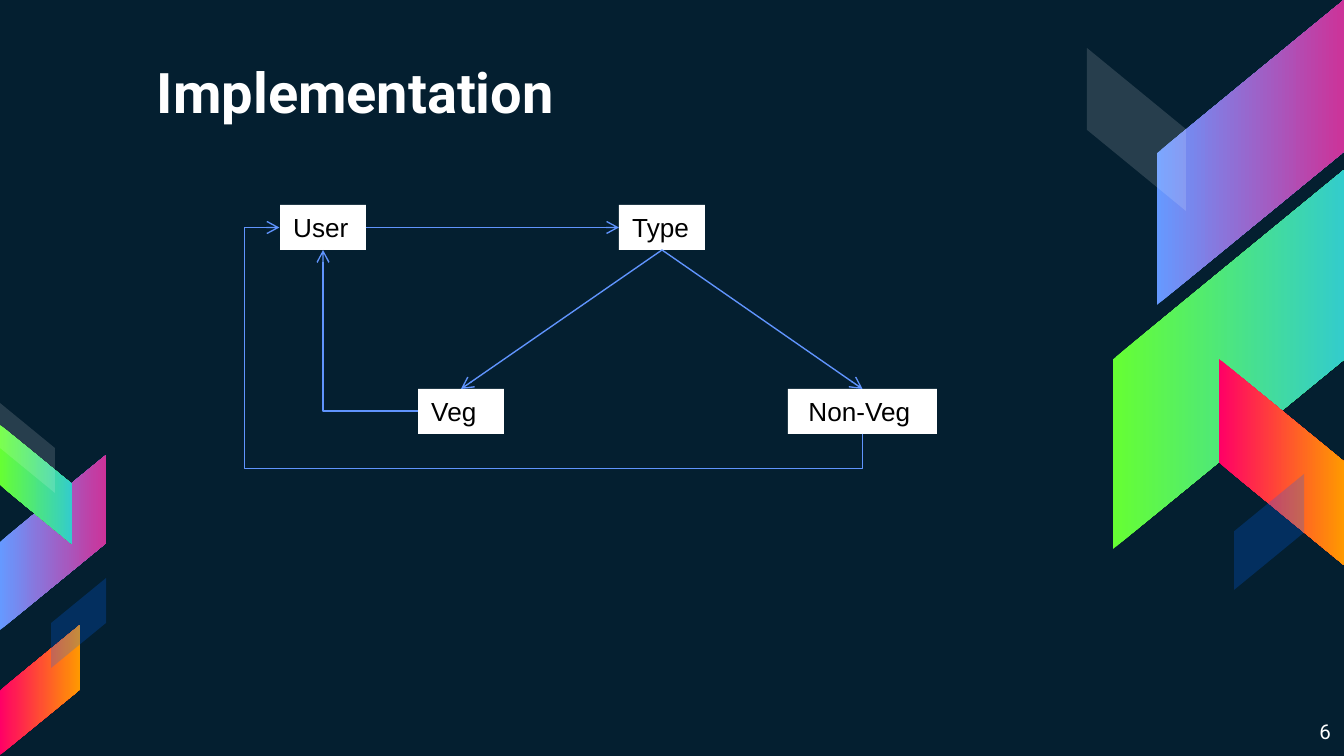
"""Build the Implementation slide: a food choice flow between ribbon ornaments."""
from dataclasses import dataclass

from lxml.etree import SubElement
from pptx import Presentation
from pptx.dml.color import RGBColor
from pptx.enum.shapes import MSO_CONNECTOR, MSO_SHAPE
from pptx.enum.text import MSO_ANCHOR, MSO_AUTO_SIZE, PP_ALIGN
from pptx.oxml.ns import qn
from pptx.shapes.autoshape import Shape
from pptx.shapes.connector import Connector
from pptx.slide import Slide
from pptx.util import Emu, Pt

EMU_PER_PX = 914400 / 134.4
WHITE, BLACK, NAVY, ARROW = "FFFFFF", "000000", "041F30", "6094FD"
VIOLET, LIME, SUNSET = ("6699FF", "CC3399"), ("66FF33", "33CCCC"), ("FF0066", "FF9900")
GLASS, DEEP = (WHITE,), ("0066FF",)
ALPHA = {GLASS: 14, DEEP: 23}
TOP, LEFT, BOTTOM, RIGHT = range(4)


@dataclass(frozen=True)
class Ribbon:
    """A slanted band, given by its visible bounds and its colours from left to right."""
    left: int
    top: int
    width: int
    height: int
    colours: tuple[str, ...]
    rising: bool


@dataclass(frozen=True)
class Node:
    """A labelled box of the flow."""
    label: str
    left: int
    top: int
    width: int = 86


@dataclass(frozen=True)
class Link:
    """A straight arrow between connection sites of two nodes."""
    source: str
    source_site: int
    target: str
    target_site: int


@dataclass(frozen=True)
class Elbow:
    """A bent arrow, given by its frame before rotation."""
    preset: str
    left: int
    top: int
    width: int
    height: int
    rotation: int
    flipped: bool = False
    bends: tuple[float, ...] = ()


RIBBONS = [
    Ribbon(1157, 0, 187, 305, VIOLET, True),
    Ribbon(1113, 170, 231, 379, LIME, True),
    Ribbon(1219, 359, 125, 206, SUNSET, False),
    Ribbon(1087, 48, 99, 163, GLASS, False),
    Ribbon(1234, 474, 70, 116, DEEP, True),
    Ribbon(0, 455, 106, 175, VIOLET, True),
    Ribbon(0, 425, 72, 119, LIME, False),
    Ribbon(0, 625, 80, 130, SUNSET, True),
    Ribbon(0, 403, 55, 90, GLASS, False),
    Ribbon(51, 578, 55, 90, DEEP, True),
]
NODES = [
    Node("User", 280, 205),
    Node("Type", 619, 205),
    Node(" Non-Veg", 788, 389, 149),
    Node("Veg", 418, 389),
]
LINKS = [
    Link("User", RIGHT, "Type", LEFT),
    Link("Type", BOTTOM, " Non-Veg", TOP),
    Link("Type", BOTTOM, "Veg", TOP),
]
ELBOWS = [
    Elbow("bentConnector2", 323, 250, 95, 161, 180),
    Elbow("bentConnector4", 468, 39, 206, 583, 90, True, (-0.17, 1.06)),
]


def px(length: float) -> Emu:
    """Turn pixels into EMU."""
    return Emu(round(length * EMU_PER_PX))


def colour(value: str) -> RGBColor:
    """Turn a hex string into a colour."""
    return RGBColor.from_string(value)


def write(box: Shape, text: str, *, size: int, font: str, ink: str, bold: bool = False,
          align: PP_ALIGN = PP_ALIGN.LEFT, anchor: MSO_ANCHOR = MSO_ANCHOR.TOP,
          inset: int | None = None) -> None:
    """Put one formatted line of text into a box."""
    frame = box.text_frame
    frame.word_wrap = True
    frame.vertical_anchor = anchor
    if inset is not None:
        frame.margin_left = frame.margin_top = frame.margin_right = frame.margin_bottom = px(inset)
    paragraph = frame.paragraphs[0]
    paragraph.alignment = align
    span = paragraph.add_run()
    span.text = text
    span.font.size, span.font.name, span.font.bold = Pt(size), font, bold
    span.font.color.rgb = colour(ink)


def draw_ribbon(page: Slide, ribbon: Ribbon) -> None:
    """Draw a parallelogram turned by a quarter, with a gradient or see-through fill."""
    shift = (ribbon.height - ribbon.width) / 2
    band = page.shapes.add_shape(
        MSO_SHAPE.PARALLELOGRAM, px(ribbon.left - shift), px(ribbon.top + shift),
        px(ribbon.height), px(ribbon.width))
    band.adjustments[0] = 0.82
    band.rotation = 270
    band.shadow.inherit = False
    band.line.fill.background()
    if ribbon.rising:
        band._element.spPr.find(qn("a:xfrm")).set("flipH", "1")
    if len(ribbon.colours) == 2:
        band.fill.gradient()
        band.fill.gradient_angle = 270
        for stop, value in zip(band.fill.gradient_stops, ribbon.colours):
            stop.color.rgb = colour(value)
    else:
        band.fill.solid()
        band.fill.fore_color.rgb = colour(ribbon.colours[0])
        tint = band._element.spPr.find(qn("a:solidFill"))[0]
        SubElement(tint, qn("a:alpha")).set("val", str(ALPHA[ribbon.colours] * 1000))


def draw_node(page: Slide, node: Node) -> Shape:
    """Draw a white box with its label."""
    box = page.shapes.add_shape(
        MSO_SHAPE.RECTANGLE, px(node.left), px(node.top), px(node.width), px(45))
    box.shadow.inherit = False
    box.fill.solid()
    box.fill.fore_color.rgb = colour(WHITE)
    box.line.fill.background()
    write(box, node.label, size=14, font="Arial", ink=BLACK)
    box.text_frame.auto_size = MSO_AUTO_SIZE.SHAPE_TO_FIT_TEXT
    return box


def style_arrow(arrow: Connector) -> None:
    """Give a connector its colour, width and open arrowhead."""
    arrow.line.color.rgb = colour(ARROW)
    arrow.line.width = Pt(0.75)
    SubElement(arrow.line._get_or_add_ln(), qn("a:tailEnd")).set("type", "arrow")
    SubElement(arrow._element.spPr, qn("a:effectLst"))


def draw_link(page: Slide, link: Link, boxes: dict[str, Shape]) -> None:
    """Draw a straight arrow glued to two boxes."""
    arrow = page.shapes.add_connector(MSO_CONNECTOR.STRAIGHT, 0, 0, 0, 0)
    arrow.begin_connect(boxes[link.source], link.source_site)
    arrow.end_connect(boxes[link.target], link.target_site)
    style_arrow(arrow)


def draw_elbow(page: Slide, elbow: Elbow) -> None:
    """Draw a bent arrow with its preset, rotation and bends."""
    arrow = page.shapes.add_connector(
        MSO_CONNECTOR.ELBOW, px(elbow.left), px(elbow.top),
        px(elbow.left + elbow.width), px(elbow.top + elbow.height))
    properties = arrow._element.spPr
    frame = properties.find(qn("a:xfrm"))
    frame.set("rot", str(elbow.rotation * 60000))
    if elbow.flipped:
        frame.set("flipH", "1")
    geometry = properties.find(qn("a:prstGeom"))
    geometry.set("prst", elbow.preset)
    for number, bend in enumerate(elbow.bends, 1):
        guide = SubElement(geometry.find(qn("a:avLst")), qn("a:gd"))
        guide.set("name", f"adj{number}")
        guide.set("fmla", f"val {round(bend * 100000)}")
    style_arrow(arrow)


def main() -> None:
    """Build and save the deck."""
    deck = Presentation()
    deck.slide_width, deck.slide_height = px(1344), px(756)
    page = deck.slides.add_slide(deck.slide_layouts[6])
    page.background.fill.solid()
    page.background.fill.fore_color.rgb = colour(NAVY)
    for ribbon in RIBBONS:
        draw_ribbon(page, ribbon)
    title = page.shapes.add_textbox(px(144), px(44), px(891), px(94))
    write(title, "Implementation", size=30, font="Roboto", ink=WHITE, bold=True,
          anchor=MSO_ANCHOR.BOTTOM, inset=13)
    number = page.shapes.add_textbox(px(1258), px(707), px(86), px(49))
    write(number, "6", size=11, font="Roboto", ink=WHITE, align=PP_ALIGN.RIGHT, inset=13)
    boxes = {node.label: draw_node(page, node) for node in NODES}
    for link in LINKS:
        draw_link(page, link, boxes)
    for elbow in ELBOWS:
        draw_elbow(page, elbow)
    deck.save("out.pptx")


if __name__ == "__main__":
    main()
